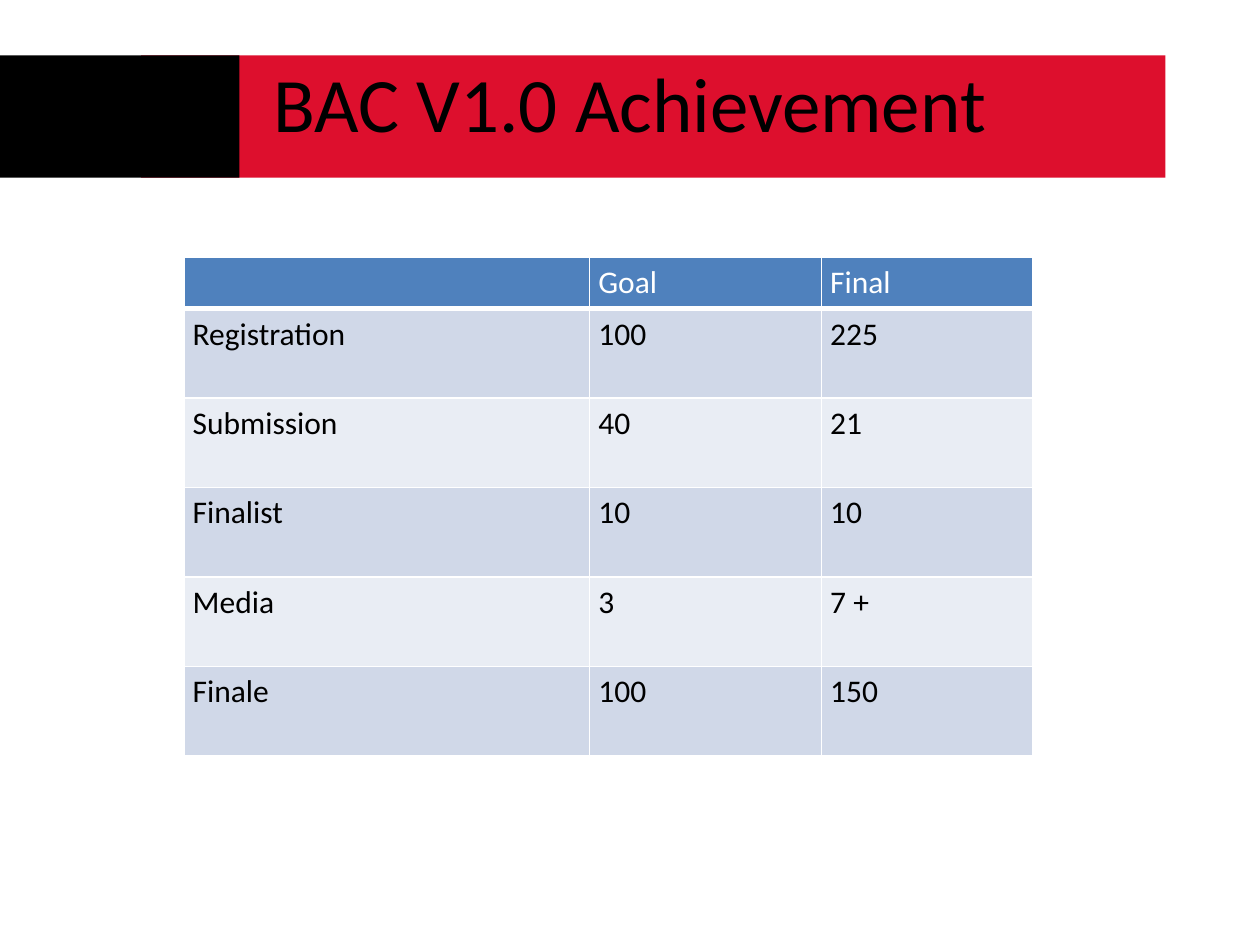
from lxml.etree import SubElement
from pptx import Presentation
from pptx.dml.color import RGBColor as RGB
from pptx.enum.shapes import MSO_SHAPE as Shape
from pptx.enum.text import MSO_ANCHOR as Anchor, PP_ALIGN as Align
from pptx.oxml.ns import qn
from pptx.util import Inches, Pt

COLORS = {
    "red": "DD0F2D",
    "black": "000000",
    "white": "FFFFFF",
    "header": "4F81BD",
    "odd_row": "D0D8E8",
    "even_row": "E9EDF4",
}
FONT = "Calibri"
TITLE_BOX = (0.69, 0.27, 8.62, 1.08)
BANNER_BOX = (0, 0.44, 9.25, 0.97)
TABLE_BOX = (1.46, 2.04, 6.74, 3.96)
COLUMN_WIDTHS = (3.22, 1.84, 1.68)
HEADER_HEIGHT = 0.41
ROWS = [
    ("", "Goal", "Final"),
    ("Registration", "100", "225"),
    ("Submission", "40", "21"),
    ("Finalist", "10", "10"),
    ("Media", "3", "7 +"),
    ("Finale", "100", "150"),
]


def color(name):
    return RGB.from_string(COLORS[name])


def format_text(paragraph, size, color_name):
    for run in paragraph.runs:
        run.font.name = FONT
        run.font.size = Pt(size)
        run.font.bold = False
        run.font.color.rgb = color(color_name)


def add_banner(slide, box):
    left, top, width, height = box
    group = slide.shapes.add_group_shape()
    bands = (("red", 1.12, width - 1.12), ("black", 0, 1.9))
    for color_name, offset, band_width in bands:
        band = group.shapes.add_shape(
            Shape.RECTANGLE, Inches(left + offset), Inches(top),
            Inches(band_width), Inches(height))
        band.shadow.inherit = False
        band.fill.solid()
        band.fill.fore_color.rgb = color(color_name)
        band.line.fill.background()


def place_title(slide, box, text):
    """Format the title placeholder and bring it in front of the banner."""
    title = slide.shapes.title
    title.left, title.top, title.width, title.height = map(Inches, box)
    frame = title.text_frame
    frame.text = text
    frame.vertical_anchor = Anchor.MIDDLE
    paragraph = frame.paragraphs[0]
    paragraph.alignment = Align.CENTER
    format_text(paragraph, 44, "black")
    slide.shapes.element.append(title.element)


def add_borders(cell, bottom_width):
    properties = cell._tc.get_or_add_tcPr()
    widths = {"lnL": 1, "lnR": 1, "lnT": 1, "lnB": bottom_width}
    for side, width in widths.items():
        line = SubElement(properties, qn(f"a:{side}"), w=str(Pt(width)))
        fill = SubElement(line, qn("a:solidFill"))
        SubElement(fill, qn("a:srgbClr"), val=COLORS["white"])


def format_cell(cell, text, row_index):
    is_header = row_index == 0
    add_borders(cell, 3 if is_header else 1)
    cell.fill.solid()
    band = "odd_row" if row_index % 2 else "even_row"
    cell.fill.fore_color.rgb = color("header" if is_header else band)
    cell.margin_left = cell.margin_right = Inches(0.07)
    cell.margin_top = cell.margin_bottom = Inches(0.05)
    cell.text_frame.text = text
    format_text(cell.text_frame.paragraphs[0], 18,
                "white" if is_header else "black")


def add_results_table(slide, box):
    table = slide.shapes.add_table(
        len(ROWS), len(COLUMN_WIDTHS), *map(Inches, box)).table
    for column, width in zip(table.columns, COLUMN_WIDTHS):
        column.width = Inches(width)
    body_height = (box[3] - HEADER_HEIGHT) / (len(ROWS) - 1)
    for row_index, (row, values) in enumerate(zip(table.rows, ROWS)):
        row.height = Inches(body_height if row_index else HEADER_HEIGHT)
        for cell, text in zip(row.cells, values):
            format_cell(cell, text, row_index)


def main():
    presentation = Presentation()
    presentation.slide_width = Inches(10)
    presentation.slide_height = Inches(7.5)
    slide = presentation.slides.add_slide(presentation.slide_layouts[5])
    add_banner(slide, BANNER_BOX)
    place_title(slide, TITLE_BOX, "BAC V1.0 Achievement")
    add_results_table(slide, TABLE_BOX)
    presentation.save("out.pptx")


if __name__ == "__main__":
    main()
